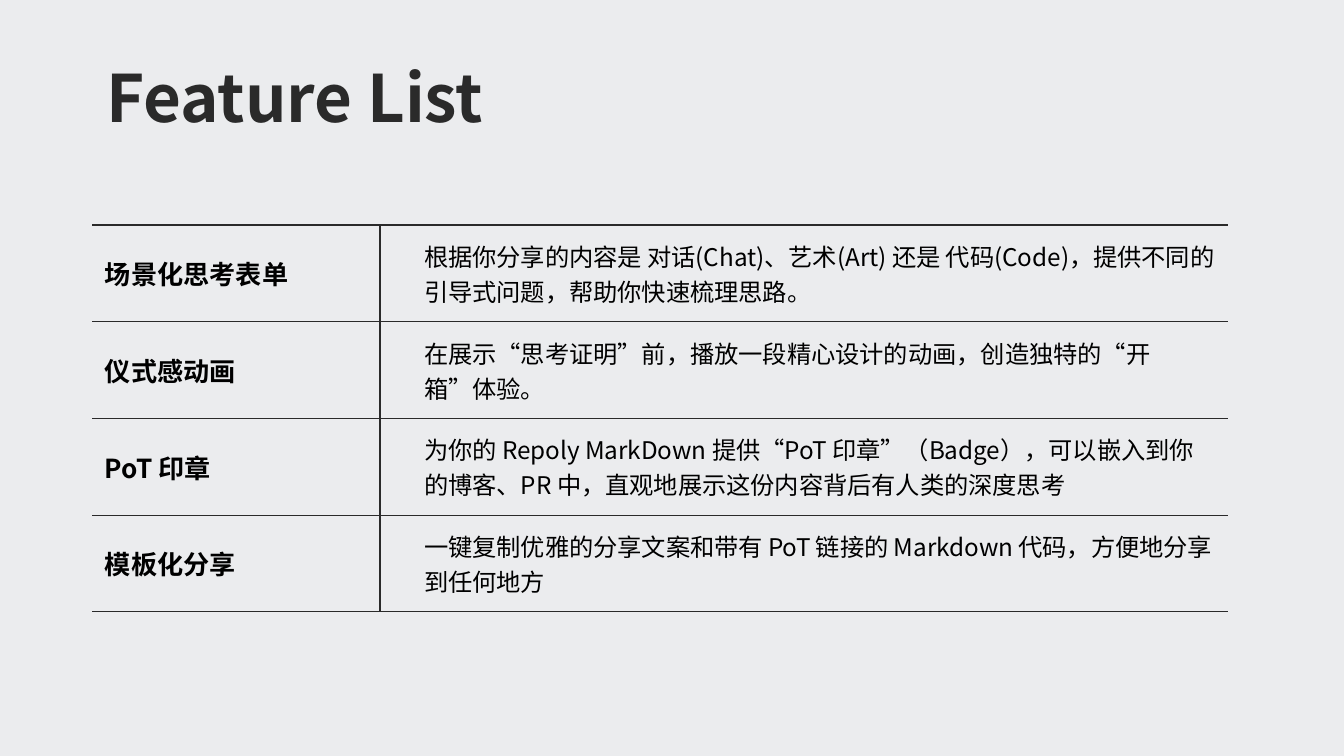
from lxml import etree
from pptx import Presentation
from pptx import util as u
from pptx.dml.color import RGBColor
from pptx.enum import text
from pptx.oxml import ns

PX = 914400 / 134.4
INK = RGBColor(0x2A, 0x2A, 0x2A)
BLACK = RGBColor(0, 0, 0)
PAPER = RGBColor(0xEB, 0xEC, 0xEE)
TITLE_FONT = "Noto Sans CJK JP"
BODY_FONT = "Noto Sans CJK SC"
INSET = 13
COLUMNS = (288, 31, 817)
BORDERS = ("RTB", "LTB", "TB")
FEATURES = [
    ("场景化思考表单",
     "根据你分享的内容是 对话(Chat)、艺术(Art) 还是 代码(Code)，提供不同的引导式问题，帮助你快速梳理思路。"),
    ("仪式感动画",
     "在展示“思考证明”前，播放一段精心设计的动画，创造独特的“开箱”体验。"),
    ("PoT 印章",
     "为你的 Repoly MarkDown 提供“PoT 印章”（Badge），可以嵌入到你的博客、PR 中，直观地展示这份内容背后有人类的深度思考"),
    ("模板化分享",
     "一键复制优雅的分享文案和带有 PoT 链接的 Markdown 代码，方便地分享到任何地方"),
]


def px(n):
    """Turn pixels into EMU."""
    return u.Emu(round(n * PX))


def write(tf, words, font, size, color, bold):
    """Set the text of a frame and format its run."""
    tf.text = words
    r = tf.paragraphs[0].runs[0]
    r.font.name, r.font.size, r.font.bold = font, u.Pt(size), bold
    r.font.color.rgb = color
    rPr = r.font._element
    etree.SubElement(rPr, ns.qn("a:ea"), typeface=font)


def set_insets(box):
    """Give a cell or text frame equal margins."""
    box.margin_left = box.margin_right = px(INSET)
    box.margin_top = box.margin_bottom = px(INSET)


def set_borders(cell, sides):
    """Draw the named sides of a cell and hide the others."""
    tcPr = cell._tc.get_or_add_tcPr()
    for side in "LRTB":
        ln = etree.SubElement(tcPr, ns.qn(f"a:ln{side}"), w=str(u.Pt(0.75)))
        if side in sides:
            fill = etree.SubElement(ln, ns.qn("a:solidFill"))
            etree.SubElement(fill, ns.qn("a:srgbClr"), val=str(INK))
        else:
            etree.SubElement(ln, ns.qn("a:noFill"))


def add_title(s, x, y, w, h):
    """Place the slide title in the given box."""
    sp = s.shapes.title
    sp.left, sp.top, sp.width, sp.height = map(px, (x, y, w, h))
    tf = sp.text_frame
    set_insets(tf)
    tf.auto_size = text.MSO_AUTO_SIZE.NONE
    tf.vertical_anchor = text.MSO_ANCHOR.TOP
    write(tf, "Feature List", TITLE_FONT, 35, INK, True)
    p = tf.paragraphs[0]
    p.alignment = text.PP_ALIGN.LEFT
    p.line_spacing = 0.9


def add_features(s, x, y, h):
    """Place the ruled feature table in the given box."""
    frame = s.shapes.add_table(len(FEATURES), len(COLUMNS),
                               *map(px, (x, y, sum(COLUMNS), h)))
    table = frame.table
    table.first_row = table.horz_banding = False
    for column, width in zip(table.columns, COLUMNS):
        column.width = px(width)
    for i, (name, detail) in enumerate(FEATURES):
        for j, sides in enumerate(BORDERS):
            cell = table.cell(i, j)
            set_insets(cell)
            cell.vertical_anchor = text.MSO_ANCHOR.MIDDLE
            set_borders(cell, sides)
            cell.fill.background()
        write(table.cell(i, 0).text_frame, name, BODY_FONT, 14, BLACK, True)
        write(table.cell(i, 2).text_frame, detail, BODY_FONT, 13, BLACK, False)


def main():
    """Build the feature list slide."""
    prs = Presentation()
    prs.slide_width, prs.slide_height = px(1344), px(756)
    s = prs.slides.add_slide(prs.slide_layouts[5])
    s.background.fill.solid()
    s.background.fill.fore_color.rgb = PAPER
    add_title(s, 93, 53, 1192, 106)
    add_features(s, 92, 225, 387)
    prs.save("out.pptx")


if __name__ == "__main__":
    main()
